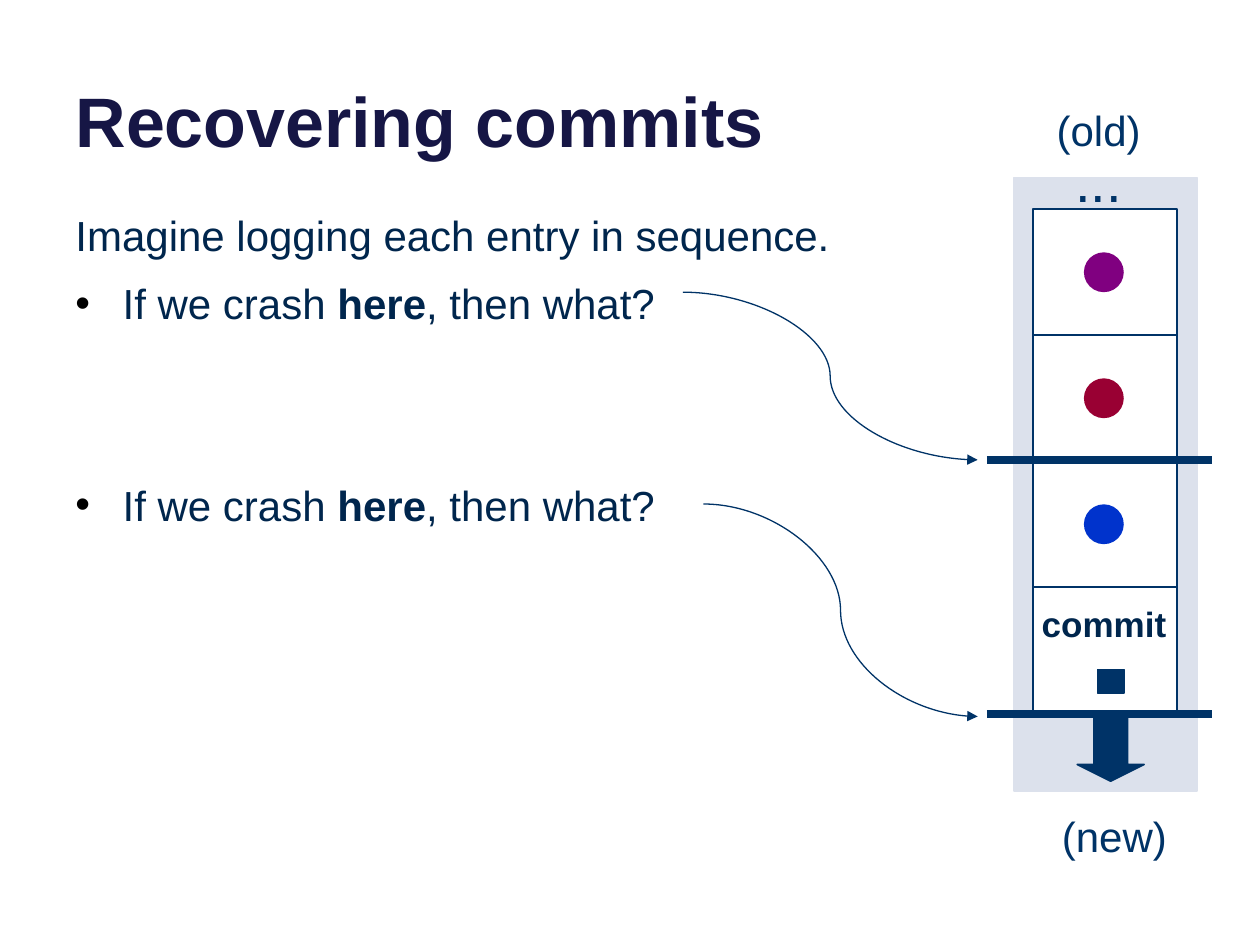
import pptx
import pptx.dml.color
import pptx.enum.shapes
import pptx.enum.text
import pptx.oxml
import pptx.oxml.ns
import pptx.util

Pt = pptx.util.Pt
SHAPES = pptx.enum.shapes.MSO_SHAPE
CONNECTORS = pptx.enum.shapes.MSO_CONNECTOR
ALIGN = pptx.enum.text.PP_ALIGN
ANCHOR = pptx.enum.text.MSO_ANCHOR
NAVY = "003367"
INK = "00264D"


def color(hex_code):
    """Return the colour for a hex string."""
    return pptx.dml.color.RGBColor.from_string(hex_code)


def xml_element(tag, **attributes):
    """Return a DrawingML element with the given attributes."""
    element = pptx.oxml.parse_xml(f"<a:{tag} {pptx.oxml.ns.nsdecls('a')}/>")
    for name, value in attributes.items():
        element.set(name, str(value))
    return element


def write(paragraph, text, size=24, ink=NAVY, bold=False, align=ALIGN.LEFT):
    """Add a formatted run to a paragraph."""
    paragraph.alignment = align
    run = paragraph.add_run()
    run.text = text
    run.font.name = "Arial"
    run.font.size = Pt(size)
    run.font.bold = bold
    run.font.color.rgb = color(ink)


def add_label(slide, text, left, top, width, height, wrap=True, anchor=ANCHOR.MIDDLE, **style):
    """Place a one-line label."""
    frame = slide.shapes.add_textbox(Pt(left), Pt(top), Pt(width), Pt(height)).text_frame
    frame.word_wrap = wrap
    frame.vertical_anchor = anchor
    write(frame.paragraphs[0], text, **style)


def add_block(slide, kind, left, top, width, height, fill, outline=None):
    """Place a filled shape and return it."""
    block = slide.shapes.add_shape(kind, Pt(left), Pt(top), Pt(width), Pt(height))
    block.shadow.inherit = False
    block.fill.solid()
    block.fill.fore_color.rgb = color(fill)
    if outline:
        block.line.color.rgb = color(outline)
        block.line.width = Pt(1)
    else:
        block.line.fill.background()
    return block


def add_line(slide, kind, start, end, width, arrow=False):
    """Draw a connector between two points."""
    line = slide.shapes.add_connector(kind, *map(Pt, start + end))
    line.line.color.rgb = color(NAVY)
    line.line.width = Pt(width)
    if arrow:
        line.line._get_or_add_ln().append(xml_element("tailEnd", type="triangle"))
    line._element.spPr.append(xml_element("effectLst"))


def add_title(slide, left, top, width, height):
    """Place the slide title."""
    title = slide.shapes.title
    title.left, title.top, title.width, title.height = map(Pt, (left, top, width, height))
    title.text_frame.vertical_anchor = ANCHOR.BOTTOM
    write(title.text_frame.paragraphs[0], "Recovering commits", size=40, ink="161645", bold=True)


def add_questions(slide, left, top, width, height):
    """Place the opening sentence and the two crash questions."""
    frame = slide.shapes.add_textbox(Pt(left), Pt(top), Pt(width), Pt(height)).text_frame
    frame.word_wrap = True
    opening = frame.paragraphs[0]
    opening.line_spacing = 1.05
    write(opening, "Imagine logging each entry in sequence.", ink=INK)
    for gap in (9, 85):
        question = frame.add_paragraph()
        question.line_spacing = 1.05
        question.space_before = Pt(gap)
        properties = question._p.get_or_add_pPr()
        properties.set("marL", str(Pt(27)))
        properties.set("indent", str(Pt(-27)))
        bullet_color = xml_element("buClr")
        bullet_color.append(xml_element("srgbClr", val="000000"))
        properties.append(bullet_color)
        properties.append(xml_element("buFont", typeface="Arial"))
        properties.append(xml_element("buChar", char="•"))
        for words, bold in (("If we crash ", False), ("here", True), (", then what?", False)):
            write(question, words, ink=INK, bold=bold)


def add_log(slide, left, top, width, height):
    """Draw the log column from its old end to its new end."""
    entry_left, entry_top = left + 10.8, top + 18
    entry_width, entry_height = 82, 72
    add_block(slide, SHAPES.RECTANGLE, left, top, width, height, "DCE1EC", "DCE1EC")
    add_label(slide, "(old)", left + 3.6, top - 45.4, 89.3, 36, align=ALIGN.CENTER)
    add_label(slide, "(new)", left + 15.8, top + height + 7.2, 82.8, 36, align=ALIGN.CENTER)
    arrow = add_block(slide, SHAPES.DOWN_ARROW, left + 36, top + 306.7, 38.2, 38.2, NAVY, NAVY)
    arrow.adjustments[1] = 0.25
    for row, entry in enumerate(("800080", "990033", "0033CC", None)):
        row_top = entry_top + row * entry_height
        add_block(slide, SHAPES.RECTANGLE, entry_left, row_top, entry_width, entry_height,
                  "FFFFFF", NAVY)
        if entry:
            add_block(slide, SHAPES.OVAL, entry_left + 29, row_top + 24.7, 22.8, 22.8, entry)
        else:
            add_block(slide, SHAPES.RECTANGLE, entry_left + 36.7, row_top + 47, 15.4, 13.7,
                      NAVY, NAVY)
            add_label(slide, "commit", entry_left - 2.2, row_top + 5, 86.4, 31.5, wrap=False,
                      anchor=ANCHOR.TOP, size=20, ink=INK, bold=True)
    add_label(slide, "...", left + 3.6, top - 21.6, 89.3, 46, size=32, align=ALIGN.CENTER)


def add_crash_points(slide, left, top, width, height):
    """Point from each question to its crash line across the log."""
    right = left + width
    starts = ((left, top), (left + 11.8, top + 121))
    ends = ((right - 133.9, top + 95.8), (right - 133.9, top + height))
    for start, end in zip(starts, ends):
        add_line(slide, CONNECTORS.CURVE, start, end, 0.75, arrow=True)
    for line_top in (top + 95.8, top + height - 1.2):
        add_line(slide, CONNECTORS.STRAIGHT, (right - 128.6, line_top), (right, line_top), 4.5)


def main():
    """Build and save the slide."""
    deck = pptx.Presentation()
    deck.slide_width, deck.slide_height = Pt(720), Pt(540)
    slide = deck.slides.add_slide(deck.slide_layouts[5])
    add_title(slide, 36, -26.6, 648, 122.4)
    add_questions(slide, 36, 114.5, 514, 324)
    add_log(slide, 579.6, 101.5, 104.4, 350.6)
    add_crash_points(slide, 390.2, 167, 302.4, 242.4)
    deck.save("out.pptx")


if __name__ == "__main__":
    main()
